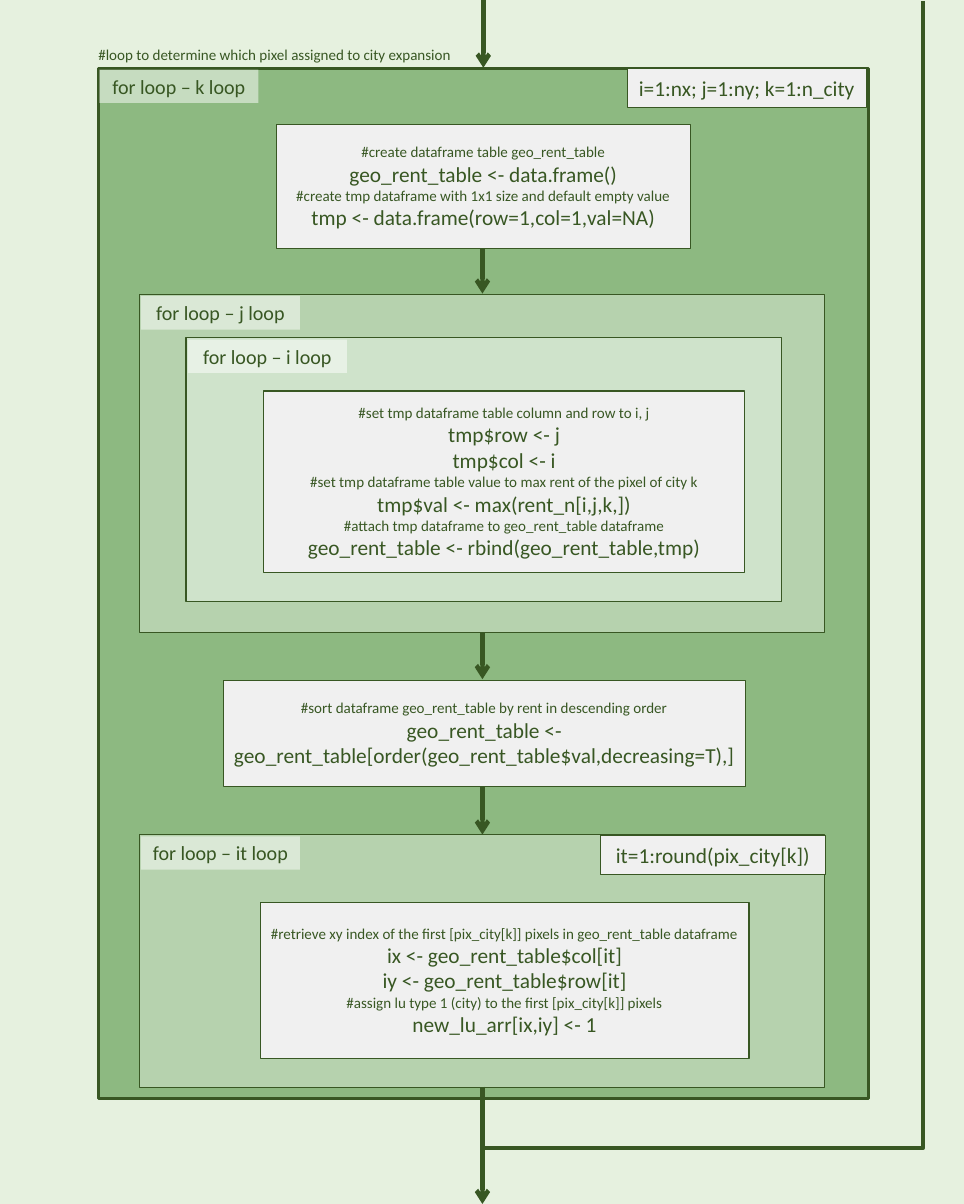
"""Build the flowchart slide of the nested city expansion loops."""
from lxml import etree
from pptx import Presentation
from pptx.dml.color import RGBColor
from pptx.enum.shapes import MSO_CONNECTOR, MSO_SHAPE
from pptx.enum.text import MSO_ANCHOR, PP_ALIGN
from pptx.oxml.ns import qn
from pptx.util import Pt

PX = 9144
PAGE_SIZE = (1067, 1333)
FONT = "Calibri"
COMMENT_SIZE, TAG_SIZE, CODE_SIZE = 12, 16, 17
TAG_SIZE_PX = (176, 37)

RECT, PROCESS = MSO_SHAPE.RECTANGLE, MSO_SHAPE.FLOWCHART_PROCESS
STRAIGHT = MSO_CONNECTOR.STRAIGHT
LEFT, CENTER = PP_ALIGN.LEFT, PP_ALIGN.CENTER
TOP, MIDDLE = MSO_ANCHOR.TOP, MSO_ANCHOR.MIDDLE

DARK = RGBColor(0x38, 0x57, 0x23)
PAPER = RGBColor(0xE6, 0xF1, 0xDF)
OUTER = RGBColor(0x8D, 0xB9, 0x81)
MIDDLE_GREEN = RGBColor(0xB6, 0xD2, 0xAE)
INNER = RGBColor(0xCF, 0xE3, 0xCB)
GREY = RGBColor(0xF0, 0xF0, 0xF0)
WHITE = RGBColor(0xFF, 0xFF, 0xFF)

CAPTION = ((99, 45, 420, 30), "#loop to determine which pixel assigned to city expansion")

LOOPS = [
    ("k", (109, 76, 852, 1140), OUTER, 2.25, 1),
    ("j", (154, 326, 759, 374), MIDDLE_GREEN, 1, 2),
    ("i", (206, 374, 659, 292), INNER, 1, 2),
    ("it", (154, 924, 759, 280), MIDDLE_GREEN, 1, 2),
]

STEPS = [
    ((694, 76, 265, 43), 0.5, ["i=1:nx; j=1:ny; k=1:n_city"]),
    ((306, 138, 458, 137), 1, [
        "#create dataframe table geo_rent_table",
        "geo_rent_table <- data.frame()",
        "#create tmp dataframe with 1x1 size and default empty value",
        "tmp <- data.frame(row=1,col=1,val=NA)",
    ]),
    ((292, 433, 532, 201), 1, [
        "#set tmp dataframe table column and row to i, j",
        "tmp$row <- j",
        "tmp$col <- i",
        "#set tmp dataframe table value to max rent of the pixel of city k",
        "tmp$val <- max(rent_n[i,j,k,])",
        "#attach tmp dataframe to geo_rent_table dataframe",
        "geo_rent_table <- rbind(geo_rent_table,tmp)",
    ]),
    ((247, 753, 578, 118), 1, [
        "#sort dataframe geo_rent_table by rent in descending order",
        "geo_rent_table <- geo_rent_table[order(geo_rent_table$val,decreasing=T),]",
    ]),
    ((665, 925, 248, 43), 0.5, ["it=1:round(pix_city[k])"]),
    ((288, 999, 541, 173), 1, [
        "#retrieve xy index of the first [pix_city[k]] pixels in geo_rent_table dataframe",
        "ix <- geo_rent_table$col[it]",
        "iy <- geo_rent_table$row[it]",
        "#assign lu type 1 (city) to the first [pix_city[k]] pixels",
        "new_lu_arr[ix,iy] <- 1",
    ]),
]

ARROWS = [(535, 0, 75), (534, 275, 325), (534, 700, 752),
          (534, 871, 924), (534, 1203, 1333)]
RETURN_PATH = [(1022, 1), (1022, 1271), (535, 1271), (535, 1289)]


def scaled(lengths):
    return [length * PX for length in lengths]


def write(box, lines, size=None, align=CENTER, anchor=MIDDLE):
    frame = box.text_frame
    for name, value in {"word_wrap": True, "vertical_anchor": anchor}.items():
        setattr(frame, name, value)
    for index, line in enumerate(lines):
        para = frame.paragraphs[0] if index == 0 else frame.add_paragraph()
        para.alignment = align
        span = para.add_run()
        span.text = line
        points = size or (COMMENT_SIZE if line.startswith("#") else CODE_SIZE)
        for name, value in {"name": FONT, "size": Pt(points)}.items():
            setattr(span.font, name, value)
        span.font.color.rgb = DARK


def add_box(page, kind, place, fill, width=None):
    box = page.shapes.add_shape(kind, *scaled(place))
    box.shadow.inherit = False
    box.fill.solid()
    box.fill.fore_color.rgb = fill
    if width:
        box.line.color.rgb = DARK
        box.line.width = Pt(width)
    else:
        box.line.fill.background()
    return box


def add_loop(page, name, place, fill, width, inset):
    add_box(page, RECT, place, fill, width)
    left, top = place[:2]
    tag = add_box(page, RECT, (left + inset, top + inset, *TAG_SIZE_PX), WHITE)
    color = tag.fill._xPr.find(qn("a:solidFill"))[0]
    etree.SubElement(color, qn("a:alpha"), val="50000")
    write(tag, [f"for loop – {name} loop"], TAG_SIZE, anchor=TOP)


def add_arrow(page, x, start, end):
    arrow = page.shapes.add_connector(STRAIGHT, *scaled((x, start, x, end)))
    arrow.line.color.rgb = DARK
    arrow.line.width = Pt(3.5)
    etree.SubElement(arrow.line._get_or_add_ln(), qn("a:tailEnd"), type="arrow")
    etree.SubElement(arrow._element.spPr, qn("a:effectLst"))


def add_return(page):
    builder = page.shapes.build_freeform(*RETURN_PATH[0], scale=PX)
    builder.add_line_segments(RETURN_PATH[1:], close=False)
    path_line = builder.convert_to_shape()
    path_line.shadow.inherit = False
    path_line.fill.background()
    path_line.line.color.rgb = DARK
    path_line.line.width = Pt(3)


def main():
    deck = Presentation()
    deck.slide_width, deck.slide_height = scaled(PAGE_SIZE)
    page = deck.slides.add_slide(deck.slide_layouts[6])
    page.background.fill.solid()
    page.background.fill.fore_color.rgb = PAPER

    place, caption = CAPTION
    write(page.shapes.add_textbox(*scaled(place)), [caption], align=LEFT, anchor=TOP)
    for loop in LOOPS:
        add_loop(page, *loop)
    for place, width, lines in STEPS:
        write(add_box(page, PROCESS, place, GREY, width), lines)
    for arrow in ARROWS:
        add_arrow(page, *arrow)
    add_return(page)
    deck.save("out.pptx")


if __name__ == "__main__":
    main()
